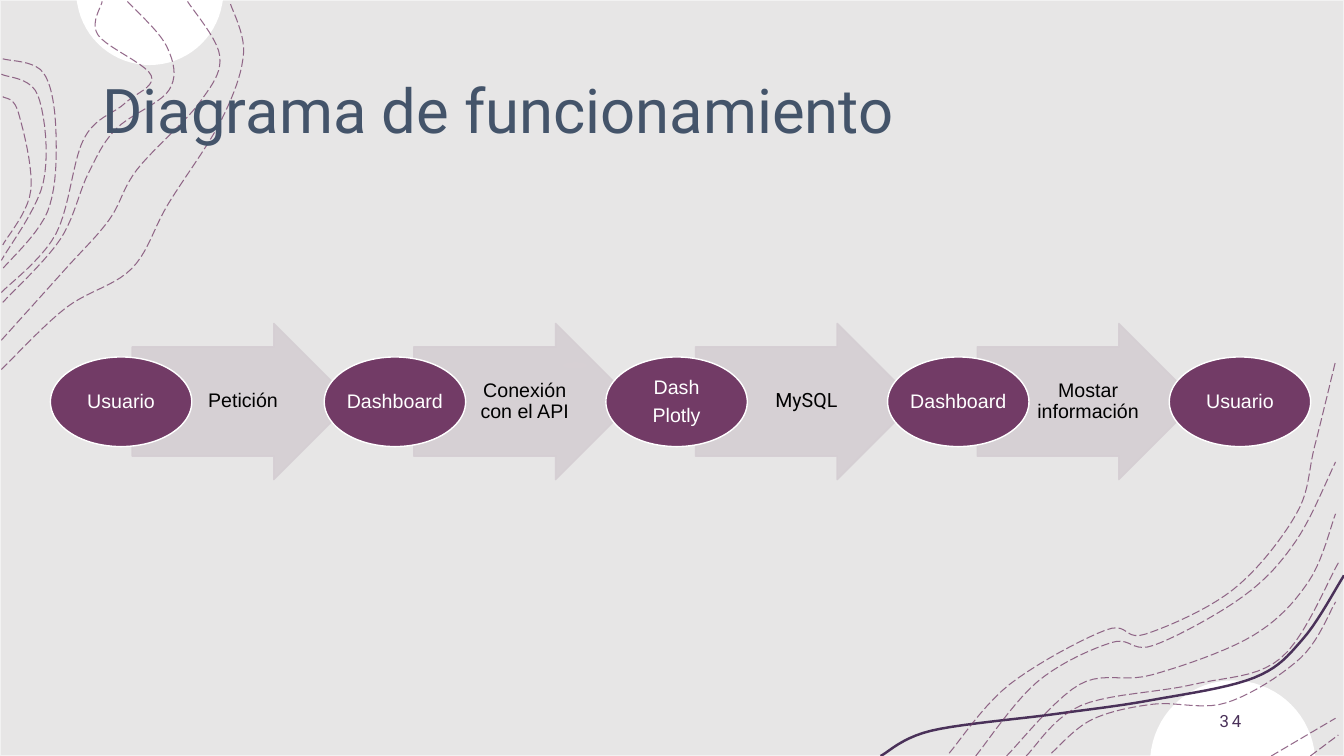
from math import cos, pi, sin

from lxml.etree import SubElement
from pptx import Presentation
from pptx.dml.color import RGBColor as RGB
from pptx.enum.dml import MSO_LINE as DASH
from pptx.enum.shapes import MSO_SHAPE as SHAPE
from pptx.enum.text import MSO_ANCHOR as ANCHOR, PP_ALIGN as ALIGN
from pptx.oxml.ns import qn
from pptx.util import Pt

COLORS = {
    "backdrop": "E7E6E6", "frame": "F2F2F2", "white": "FFFFFF", "black": "000000",
    "plum": "723B66", "violet": "4A3159", "arrow": "D5CED3", "dot": "D7D0D4",
    "title": "44546A",
}

RIBBON = [(629, 540), (665, 522), (754, 510), (823, 500), (896, 484), (931, 456), (960, 411)]

CONTOURS = [
    [(1, 264), (47, 220), (94, 192), (120, 146), (158, 86), (174, 38), (164, 1)],
    [(1, 243), (46, 193), (78, 157), (98, 121), (142, 74), (157, 40), (134, 1)],
    [(91, 1), (119, 33), (121, 64), (83, 92), (63, 124), (43, 171), (2, 216)],
    [(1, 209), (40, 167), (60, 99), (89, 74), (108, 54), (70, 25), (73, 1)],
    [(2, 42), (31, 52), (40, 95), (34, 151), (1, 193)],
    [(1, 53), (27, 68), (31, 130), (1, 186)],
    [(2, 69), (13, 80), (22, 136), (2, 175)],
    [(678, 538), (721, 489), (790, 450), (818, 453), (881, 421), (926, 367),
     (939, 319), (954, 258)],
    [(697, 540), (741, 487), (794, 459), (824, 461), (888, 426), (926, 386), (954, 330)],
    [(936, 540), (956, 525)],
    [(908, 540), (954, 513)],
    [(751, 538), (780, 514), (824, 503), (876, 502), (929, 470), (954, 430)],
    [(733, 540), (772, 504), (852, 489), (915, 470), (956, 402)],
    [(719, 540), (771, 489), (823, 482), (895, 454), (935, 415), (954, 367)],
]


def smooth(knots, steps=10):
    ends = [knots[0], *knots, knots[-1]]
    pts = [knots[0]]
    for a, b, c, d in zip(ends, ends[1:], ends[2:], ends[3:]):
        for t in (i / steps for i in range(1, steps + 1)):
            pts.append(tuple(
                (2 * q + (r - p) * t + (2 * p - 5 * q + 4 * r - w) * t ** 2
                 + (3 * q - p - 3 * r + w) * t ** 3) / 2
                for p, q, r, w in zip(a, b, c, d)))
    return pts


def arc(cx, cy, radius, start, steps=36):
    angles = (start + pi * i / steps for i in range(steps + 1))
    return [(cx + radius * cos(a), min(max(cy + radius * sin(a), 0), 540)) for a in angles]


class Deck:
    font = "Arial"

    def __init__(self, prs):
        self.s = prs.slides.add_slide(prs.slide_layouts[5])

    def put(self, obj, **values):
        for name, value in values.items():
            setattr(obj, name, value)

    def paint(self, fill, color, alpha=100):
        fill.solid()
        fill.fore_color.rgb = RGB.from_string(COLORS[color])
        if alpha < 100:
            clr = fill._xPr.find(qn("a:solidFill"))[0]
            SubElement(clr, qn("a:alpha"), val=str(alpha * 1000))

    def style(self, sp, fill=None, line=None, width=1, alpha=100):
        sp.shadow.inherit = False
        for part, color in ((sp.fill, fill), (sp.line.fill, line)):
            if color:
                self.paint(part, color, alpha)
            else:
                part.background()
        if line:
            sp.line.width = Pt(width)
        return sp

    def text(self, sp, lines, size, color, insets=(7.2, 3.6, 7.2, 3.6),
             align=ALIGN.CENTER, font=None, after=0, spacing=1.0):
        tf = sp.text_frame
        sides = ("margin_left", "margin_top", "margin_right", "margin_bottom")
        self.put(tf, word_wrap=True, vertical_anchor=ANCHOR.MIDDLE,
                 **dict(zip(sides, map(Pt, insets))))
        for i, line in enumerate(lines):
            p = tf.add_paragraph() if i else tf.paragraphs[0]
            self.put(p, alignment=align, line_spacing=spacing, space_after=Pt(after))
            r = p.add_run()
            r.text = line
            self.put(r.font, name=font or self.font, size=Pt(size))
            r.font.color.rgb = RGB.from_string(COLORS[color])
        return r

    def shape(self, kind, box, **look):
        return self.style(self.s.shapes.add_shape(kind, *map(Pt, box)), **look)

    def curve(self, pts, close=False, dash=None, **look):
        (x, y), *rest = [(Pt(x), Pt(y)) for x, y in pts]
        builder = self.s.shapes.build_freeform(x, y)
        builder.add_line_segments(rest, close=close)
        sp = self.style(builder.convert_to_shape(), **look)
        if dash:
            sp.line.dash_style = dash

    def title(self, text, box):
        sp = self.s.shapes.title
        self.put(sp, **dict(zip(("left", "top", "width", "height"), map(Pt, box))))
        self.text(sp, [text], 44, "title", align=ALIGN.LEFT, font="Roboto", spacing=0.9)
        sp.element.getparent().append(sp.element)

    def number(self, text, box):
        sp = self.s.shapes.add_textbox(*map(Pt, box))
        r = self.text(sp, [text], 12, "violet", align=ALIGN.RIGHT, font="Roboto")
        r.font._element.set("spc", "200")

    def arrow(self, x, label, font):
        sp = self.shape(SHAPE.RIGHT_ARROW, (x, 231, 157, 111.6),
                        fill="arrow", line="arrow", alpha=90)
        sp.adjustments[0] = 0.7
        self.text(sp, [label], 14, "black", (42, 1, 1.5, 1), font=font, after=5, spacing=0.9)

    def node(self, x, lines):
        sp = self.shape(SHAPE.OVAL, (x, 255, 101, 64), fill="plum", line="white")
        self.text(sp, lines, 14, "white", (1, 1, 1, 1), after=5, spacing=0.9)


def main():
    prs = Presentation()
    prs.slide_width, prs.slide_height = Pt(960), Pt(540)
    deck = Deck(prs)
    deck.shape(SHAPE.RECTANGLE, (0, 0, 960, 540), fill="backdrop", line="frame")
    deck.curve(arc(107, -6, 52.5, 0), close=True, fill="white")
    deck.curve(arc(880.5, 545, 59, pi), close=True, fill="white")
    deck.curve(smooth(RIBBON), line="violet", width=1.75)
    for contour in CONTOURS:
        deck.curve(smooth(contour), dash=DASH.LONG_DASH, line="plum", width=0.75, alpha=75)
    deck.title("Diagrama de funcionamiento", (66, 28.8, 828, 104.4))
    deck.number("34", (780, 500.4, 113.8, 28.8))

    step = 201.2
    arrows = [("Petición", "Arial"), ("Conexión con el API", "Arial"),
              ("MySQL", "Roboto"), ("Mostar información", "Arial")]
    nodes = [["Dashboard"], ["Dash", "Plotly"], ["Dashboard"], ["Usuario"]]
    for i, (label, font) in enumerate(arrows):
        deck.arrow(94.4 + step * i, label, font)
    deck.shape(SHAPE.OVAL, (402.5, 259.2, 16.6, 3.6), fill="dot", line="dot")
    deck.node(36, ["Usuario"])
    for i, lines in enumerate(nodes):
        deck.node(231.6 + step * i, lines)
    prs.save("out.pptx")


if __name__ == "__main__":
    main()
